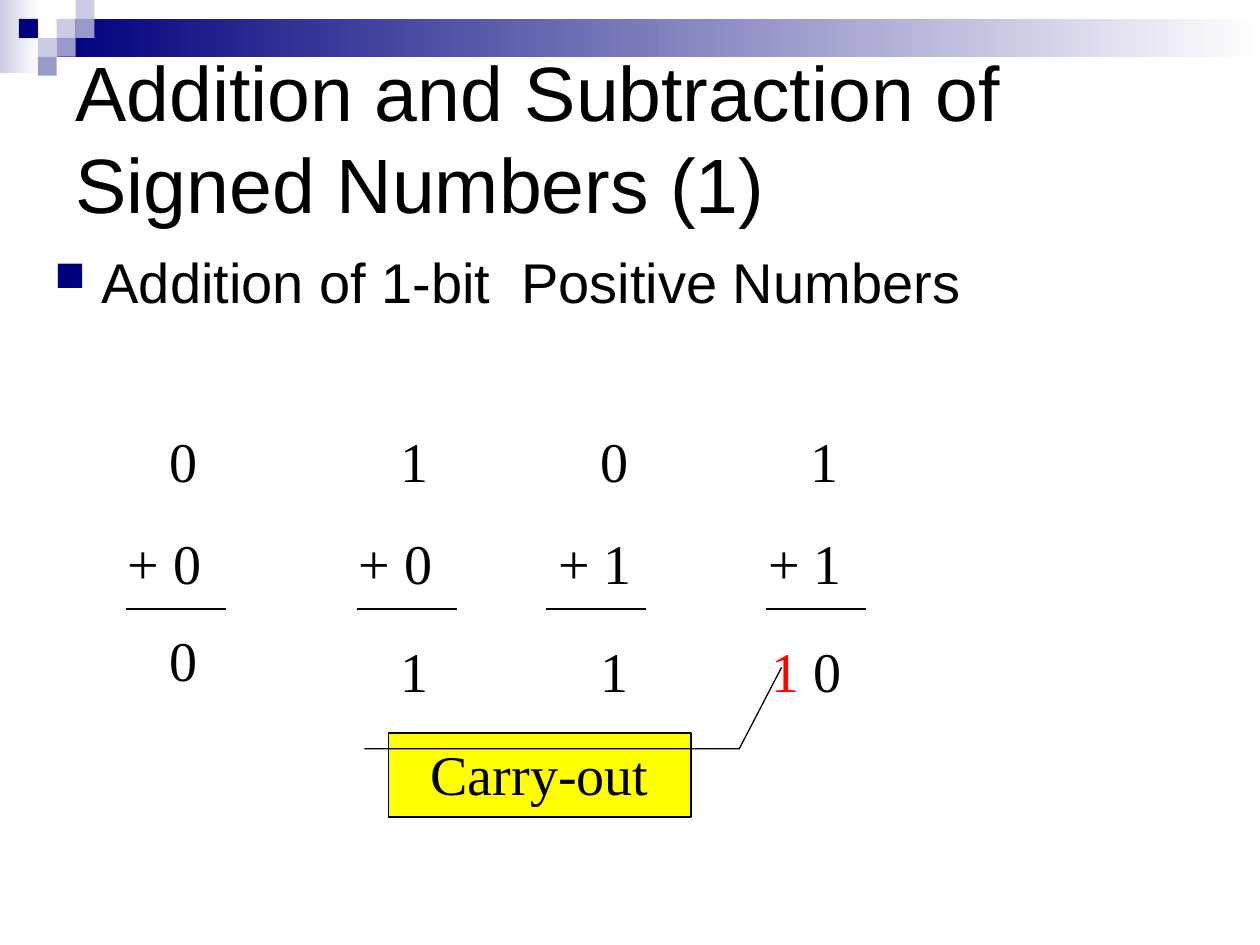
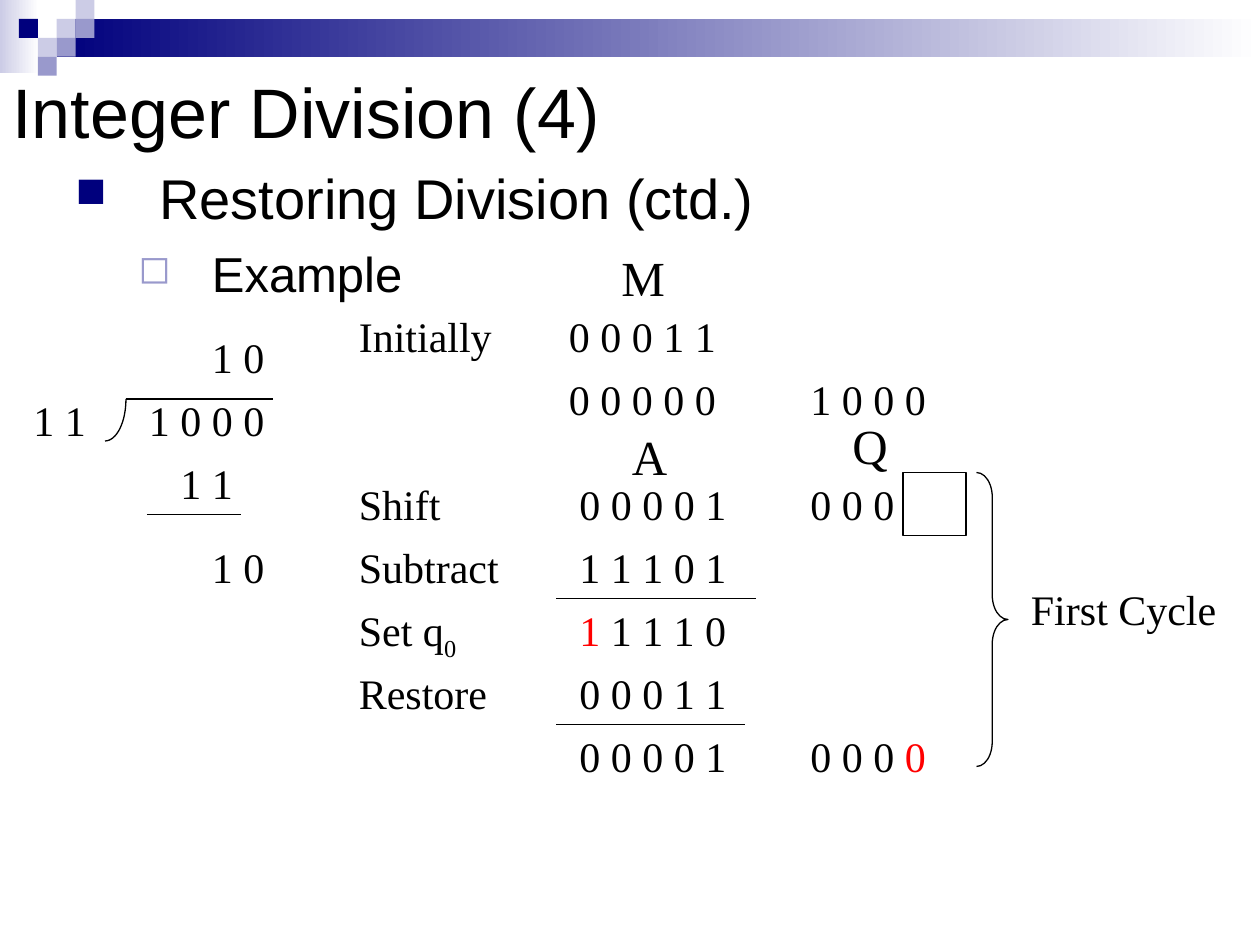
from math import cos, pi, sin

from lxml.etree import SubElement
from pptx import Presentation
from pptx.dml.color import RGBColor
from pptx.enum.shapes import MSO_CONNECTOR, MSO_SHAPE as SHAPE
from pptx.enum.text import MSO_ANCHOR as ANCHOR, MSO_AUTO_SIZE as AUTO, PP_ALIGN as ALIGN
from pptx.oxml.ns import qn
from pptx.util import Emu, Inches, Pt

BLACK = RGBColor(0x00, 0x00, 0x00)
WHITE = RGBColor(0xFF, 0xFF, 0xFF)
RED = RGBColor(0xFF, 0x00, 0x00)
YELLOW = RGBColor(0xFF, 0xFF, 0x00)
NAVY = RGBColor(0x00, 0x00, 0x7D)
MID = RGBColor(0x99, 0x99, 0xCC)
LIGHT = RGBColor(0xCC, 0xCC, 0xE6)

SANS, SERIF = "Arial", "Times New Roman"
SLIDE_W, SLIDE_H = Inches(10), Inches(7.5)
COLUMNS = 120  # square grid: 120 columns by 90 rows
TILE = 1.8     # side of a corner square, in grid units
TILES = [(3, 1, LIGHT), (4, 0, LIGHT), (4, 1, MID), (2, 2, LIGHT),
         (1, 1, NAVY), (3, 2, MID), (2, 3, MID)]


def grid(*units):
    return [Emu(round(u * SLIDE_W / COLUMNS)) for u in units]


def style_font(font, size, name, color=BLACK):
    font.size, font.name, font.color.rgb = Pt(size), name, color


def add_shape(s, kind, box, fill=None, line=None):
    sp = s.shapes.add_shape(kind, *grid(*box))
    sp.shadow.inherit = False
    if fill is None:
        sp.fill.background()
    else:
        sp.fill.solid()
        sp.fill.fore_color.rgb = fill
    set_line(sp.line, line)
    return sp


def set_line(line, color):
    if color is None:
        line.fill.background()
    else:
        line.color.rgb = color
        line.width = Pt(0.75)


def add_fade(s, box, color):
    """Rectangle that fades from color to white, left to right."""
    fill = add_shape(s, SHAPE.RECTANGLE, box, WHITE).fill
    fill.gradient()
    fill.gradient_angle = 0
    for stop, c in zip(fill.gradient_stops, (color, WHITE)):
        stop.color.rgb = c


def add_rule(s, x, y, width):
    c = s.shapes.add_connector(MSO_CONNECTOR.STRAIGHT, *grid(x, y, x + width, y))
    set_line(c.line, BLACK)
    SubElement(c._element.spPr, qn("a:effectLst"))


def add_text(s, x, y, width, lines, size, gap=20):
    """Serif text; each line is (indent in grid units, [(text, color), ...])."""
    n = len(lines)
    height = 1.2 + 0.2 * size * n + gap / 6 * (n - 1)
    tf = s.shapes.add_textbox(*grid(x, y, width, height)).text_frame
    tf.word_wrap = True
    for i, (indent, runs) in enumerate(lines):
        p = tf.add_paragraph() if i else tf.paragraphs[0]
        if i:
            p.space_before = Pt(gap)
        if indent:
            p._p.get_or_add_pPr().set("marL", str(grid(indent)[0]))
        for text, color in runs:
            r = p.add_run()
            r.text = text
            style_font(r.font, size, SERIF, color)
    return tf


def add_label(s, x, y, width, *runs, size=24):
    """One line of serif text; a run is a string or a (string, color) pair."""
    runs = [(r, BLACK) if isinstance(r, str) else r for r in runs]
    return add_text(s, x, y, width, [(0, runs)], size)


def add_bullets(s, box, items):
    """Each item is (text, size, left indent, hanging, character, color, percent)."""
    tf = s.shapes.add_textbox(*grid(*box)).text_frame
    tf.word_wrap = True
    for i, (text, size, left, hanging, char, color, percent) in enumerate(items):
        p = tf.add_paragraph() if i else tf.paragraphs[0]
        p.text = text
        if i:
            p.space_before = Pt(size / 4)
        pPr = p._p.get_or_add_pPr()
        pPr.set("marL", str(grid(left)[0]))
        pPr.set("indent", str(grid(-hanging)[0]))
        SubElement(SubElement(pPr, qn("a:buClr")), qn("a:srgbClr")).set("val", str(color))
        SubElement(pPr, qn("a:buSzPct")).set("val", str(percent * 1000))
        SubElement(pPr, qn("a:buChar")).set("char", char)
        style_font(p.runs[0].font, size, SANS)


def add_slide(prs, title, box, size):
    """Title-only slide with the shared band and corner squares."""
    s = prs.slides.add_slide(prs.slide_layouts[5])
    add_fade(s, (0, 0, 3.7, 7), LIGHT)
    add_fade(s, (3 * TILE, TILE, COLUMNS - 3 * TILE, 2 * TILE), NAVY)
    for col, row, color in TILES:
        add_shape(s, SHAPE.RECTANGLE, (col * TILE, row * TILE, TILE, TILE), color)
    sp = s.shapes.title
    sp.left, sp.top, sp.width, sp.height = grid(*box)
    tf = sp.text_frame
    tf.text = title
    tf.auto_size, tf.vertical_anchor = AUTO.NONE, ANCHOR.MIDDLE
    p = tf.paragraphs[0]
    p.alignment = ALIGN.LEFT
    style_font(p.runs[0].font, size, SANS)
    return s


def add_sum(s, x, top, bottom, rule_x, result_x, result_y, result):
    """Two addends, a rule and the result below it."""
    add_text(s, x, 40, 13, [(4, [(top, BLACK)]), (0, [("+ " + bottom, BLACK)])], 32)
    add_rule(s, rule_x, 58, 9.5)
    add_text(s, result_x, result_y, 13, [result], 32)


def add_carry_callout(s):
    sp = add_shape(s, SHAPE.LINE_CALLOUT_2, (37, 69.8, 28.8, 8), YELLOW, BLACK)
    for i, value in enumerate((0.19, -0.08, 0.19, 1.16, -0.78, 1.3)):
        sp.adjustments[i] = value
    tf = sp.text_frame
    tf.text = "Carry-out"
    tf.vertical_anchor = ANCHOR.TOP
    p = tf.paragraphs[0]
    p.alignment = ALIGN.CENTER
    style_font(p.runs[0].font, 32, SERIF)


def add_division_curve(s, x, y, width, height, steps=16):
    """Quarter ellipse from the right end of the top to the lower left."""
    angles = [i * pi / 2 / steps for i in range(steps + 1)]
    points = [grid(x + width * cos(a), y + height * sin(a)) for a in angles]
    builder = s.shapes.build_freeform(*points[0])
    builder.add_line_segments(points[1:], close=False)
    sp = builder.convert_to_shape()
    sp.shadow.inherit = False
    sp.fill.background()
    set_line(sp.line, BLACK)


def add_long_division(s):
    add_division_curve(s, 10, 38, 2, 4)
    for x, y, width, digits in [(2, 37, 9, "1 1"), (13, 37, 15, "1 0 0 0"),
                                (19, 31, 9, "1 0"), (16, 43, 9, "1 1"),
                                (19, 51, 9, "1 0")]:
        add_label(s, x, y, width, digits)
    add_rule(s, 12, 38, 14)
    add_rule(s, 14, 49, 9)


def add_cycle(s):
    """Register steps of the first cycle, one every six rows."""
    steps = [(["Shift"], ["0 0 0 0 1"], ["0 0 0"]),
             (["Subtract"], ["1 1 1 0 1"], []),
             (["Set q", "0"], [("1", RED), " 1 1 1 0"], []),
             (["Restore"], ["0 0 0 1 1"], []),
             ([], ["0 0 0 0 1"], ["0 0 0 ", ("0", RED)])]
    for i, step in enumerate(steps):
        for x, width, runs in zip((33, 54, 76), (17, 17, 16), step):
            if runs:
                tf = add_label(s, x, 45 + 6 * i, width, *runs)
                if runs[0] == "Set q":
                    tf.paragraphs[0].runs[1]._r.get_or_add_rPr().set("baseline", "-25000")
    add_shape(s, SHAPE.RECTANGLE, (86, 45, 6, 6), line=BLACK)
    add_rule(s, 53, 57, 19)
    add_rule(s, 53, 69, 18)
    brace = add_shape(s, SHAPE.RIGHT_BRACE, (93, 45, 3, 28), line=BLACK)
    brace.adjustments[0] = 0.78
    add_label(s, 97, 55, 21, "First Cycle")


def add_addition_slide(prs):
    s = add_slide(prs, "Addition and Subtraction of Signed Numbers (1)", (6, 4, 108, 18), 44)
    add_bullets(s, (4, 23, 108, 60),
                [("Addition of 1-bit  Positive Numbers", 32, 4.5, 4.5, "■", NAVY, 75)])
    one = (4, [("1", BLACK)])
    add_sum(s, 11, "0", "0", 12, 11, 59, (4, [("0", BLACK)]))
    add_sum(s, 33, "1", "0", 34, 33, 60, one)
    add_sum(s, 52, "0", "1", 52, 52, 60, one)
    add_sum(s, 72, "1", "1", 73, 71, 60, (1.33, [("1", RED), (" 0", BLACK)]))
    add_carry_callout(s)


def add_division_slide(prs):
    s = add_slide(prs, "Integer Division (4)", (0, 4, 120, 13), 40)
    add_bullets(s, (6, 15, 106, 72),
                [("Restoring Division (ctd.)", 32, 8, 8, "■", NAVY, 75),
                 ("Example", 28, 13, 7, "◻", MID, 80)])
    add_label(s, 33, 29, 16, "Initially")
    add_label(s, 53, 29, 17, "0 0 0 1 1")
    add_label(s, 53, 35, 17, "0 0 0 0 0")
    add_label(s, 76, 35, 16, "1 0 0 0")
    for x, y, name in [(80, 39, "Q"), (58, 23, "M"), (59, 40, "A")]:
        add_label(s, x, y, 12, name, size=28)
    add_cycle(s)
    add_long_division(s)


def main():
    prs = Presentation()
    prs.slide_width, prs.slide_height = SLIDE_W, SLIDE_H
    add_addition_slide(prs)
    add_division_slide(prs)
    prs.save("out.pptx")


if __name__ == "__main__":
    main()
